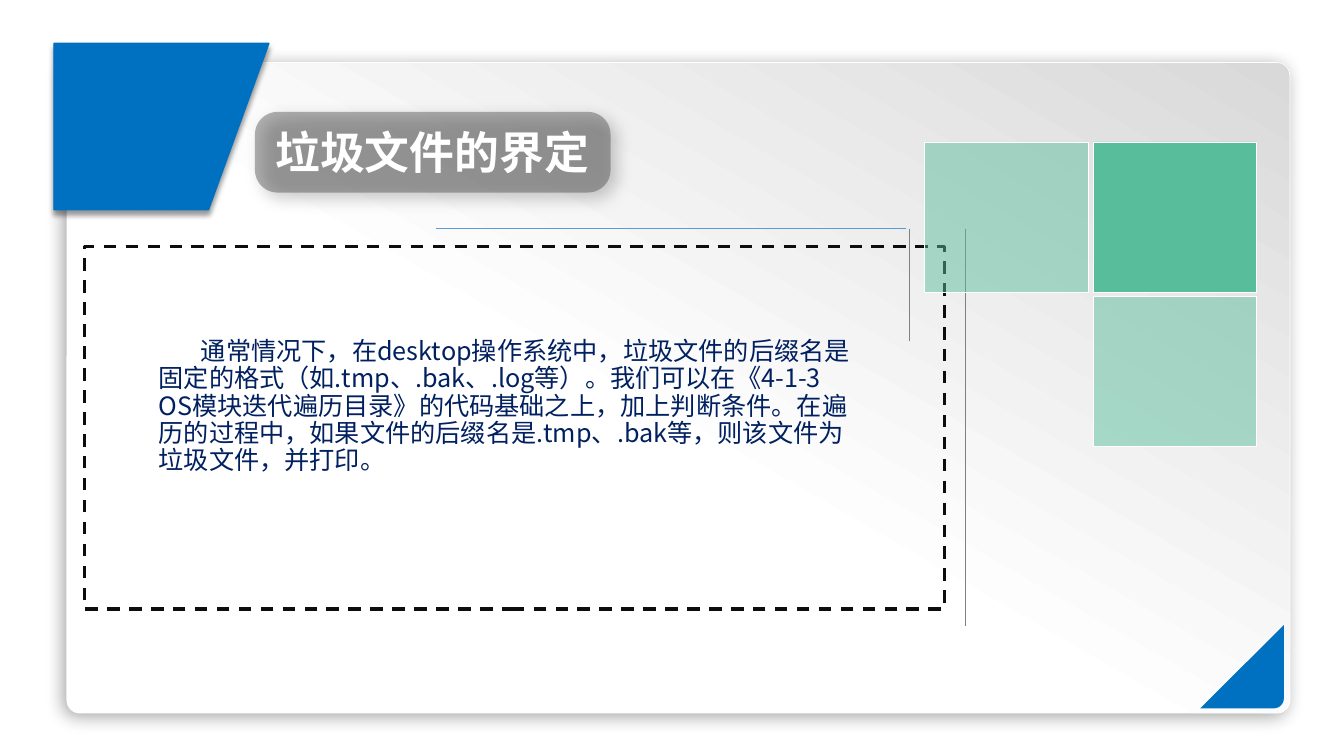
import math

import lxml.etree
import pptx
import pptx.dml.color
import pptx.enum.dml
import pptx.enum.shapes
import pptx.enum.text
import pptx.oxml.ns
import pptx.util

RGB = pptx.dml.color.RGBColor
SHAPE = pptx.enum.shapes.MSO_SHAPE
ANCHOR = pptx.enum.text.MSO_ANCHOR
Pt = pptx.util.Pt
qn = pptx.oxml.ns.qn

TITLE = "垃圾文件的界定"
BODY = (
    "通常情况下，在desktop操作系统中，垃圾文件的后缀名是固定的格式"
    "（如.tmp、.bak、.log等）。我们可以在《4-1-3  OS模块迭代遍历目录》"
    "的代码基础之上，加上判断条件。在遍历的过程中，如果文件的后缀名是"
    ".tmp、.bak等，则该文件为垃圾文件，并打印。"
)
FONT = "Noto Sans CJK SC"

WHITE = RGB(0xFF, 0xFF, 0xFF)
SILVER = RGB(0xD9, 0xD9, 0xD9)
GREY = RGB(0x80, 0x80, 0x80)
CHARCOAL = RGB(0x40, 0x40, 0x40)
INK = RGB(0x0D, 0x0D, 0x0D)
NAVY = RGB(0x00, 0x20, 0x60)
BLUE = RGB(0x00, 0x70, 0xC0)
SKY = RGB(0x5B, 0x9B, 0xD5)
GREEN = RGB(0x58, 0xBD, 0x9B)

# Places are percentages of the slide's width and height: left, top, width, height
PANEL = (4.98, 8.27, 91, 86.07)
FRAME = (6.3, 32.57, 63.96, 48)
PILL = (18.97, 14.8, 26.46, 10.67)
TITLE_BOX = (19.74, 15.75, 25.04, 8.53)
BODY_BOX = (9.18, 44.15, 55.3, 19.47)
TAB = [(20.01, 5.73), (4.02, 5.73), (4.02, 27.73), (15.52, 27.73)]
FOLD_LEFT, FOLD_TOP, FOLD_RIGHT, FOLD_BOTTOM = 89.3, 82.67, 95.53, 93.7
FOLD_RADIUS = (0.75, 1.33)
RULES = [  # from, to, colour
    ((71.81, 30.25), (71.81, 82.8), GREY),
    ((32.46, 30.25), (67.45, 30.25), SKY),
    ((67.65, 30.25), (67.65, 45.07), GREY),
]
TILE_ORIGIN, TILE_SIZE, TILE_STEP = (68.8, 18.75), (12.14, 19.87), (12.54, 20.45)
TILES = [(1, 1, 49), (0, 0, 49), (1, 0, 100)]  # column, row, opacity

prs = pptx.Presentation()
prs.slide_width = pptx.util.Inches(13.34)
prs.slide_height = pptx.util.Inches(7.5)
s = prs.slides.add_slide(prs.slide_layouts[1])


def place(values):
    """Turn alternating x and y percentages into slide lengths."""
    sides = (prs.slide_width, prs.slide_height)
    return [round(v / 100 * sides[i % 2]) for i, v in enumerate(values)]


def style(sp, fill=None, line=None, width=0.5, opacity=100):
    sp.shadow.inherit = False
    if fill is None:
        sp.fill.background()
    else:
        sp.fill.solid()
        sp.fill.fore_color.rgb = fill
        if opacity < 100:
            color = sp._element.spPr.find(qn("a:solidFill"))[0]
            lxml.etree.SubElement(color, qn("a:alpha"), val=str(opacity * 1000))
    if line is None:
        sp.line.fill.background()
    else:
        sp.line.color.rgb = line
        sp.line.width = Pt(width)
    return sp


def add_shadow(sp, opacity, blur, distance, angle):
    effects = sp._element.spPr.find(qn("a:effectLst"))
    shadow = lxml.etree.SubElement(
        effects, qn("a:outerShdw"), blurRad=str(Pt(blur)), dist=str(Pt(distance)),
        dir=str(angle * 60000), algn="ctr", rotWithShape="0")
    color = lxml.etree.SubElement(shadow, qn("a:srgbClr"), val="000000")
    lxml.etree.SubElement(color, qn("a:alpha"), val=str(opacity * 1000))


def add_box(kind, box):
    return s.shapes.add_shape(kind, *place(box))


def add_outline(points):
    start, *rest = [place(pt) for pt in points]
    builder = s.shapes.build_freeform(*start)
    builder.add_line_segments(rest)
    return builder.convert_to_shape()


def fill_placeholder(sp, text, box, size, color, bold, anchor, wrap):
    """Bring a placeholder to the front, then place it and set its one paragraph."""
    s.shapes._spTree.append(sp._element)
    sp.left, sp.top, sp.width, sp.height = place(box)
    tf = sp.text_frame
    tf.text = text
    tf.word_wrap = wrap
    tf.auto_size = pptx.enum.text.MSO_AUTO_SIZE.NONE
    tf.vertical_anchor = anchor
    p = tf.paragraphs[0]
    lxml.etree.SubElement(p._p.get_or_add_pPr(), qn("a:buNone"))
    p.alignment = pptx.enum.text.PP_ALIGN.LEFT
    p.space_before = Pt(0)
    p.font.size, p.font.bold, p.font.name = Pt(size), bold, FONT
    p.font.color.rgb = color
    latin = p._p.pPr.find(qn("a:defRPr")).find(qn("a:latin"))
    latin.addnext(latin.makeelement(qn("a:ea"), typeface=FONT))
    return p


panel = style(add_box(SHAPE.ROUNDED_RECTANGLE, PANEL), WHITE, WHITE)
panel.adjustments[0] = 0.02
panel.fill.gradient()
panel.fill.gradient_angle = 60
for stop, color, position in zip(panel.fill.gradient_stops, (WHITE, SILVER), (0.45, 1)):
    stop.color.rgb = color
    stop.position = position
add_shadow(panel, 34, 12, 3, 135)

rx, ry = FOLD_RADIUS
corner = [(FOLD_RIGHT - rx + rx * math.cos(math.radians(a)),
           FOLD_BOTTOM - ry + ry * math.sin(math.radians(a))) for a in range(0, 91, 15)]
style(add_outline([(FOLD_RIGHT, FOLD_TOP), *corner, (FOLD_LEFT, FOLD_BOTTOM)]), BLUE)

add_shadow(style(add_outline(TAB), BLUE, BLUE, 1), 40, 4, 3, 90)

for start, end, color in RULES:
    rule = s.shapes.add_connector(pptx.enum.shapes.MSO_CONNECTOR.STRAIGHT, *place(start + end))
    rule.line.color.rgb = color
    rule.line.width = Pt(0.5)
    lxml.etree.SubElement(rule._element.spPr, qn("a:effectLst"))

frame = style(add_box(SHAPE.RECTANGLE, FRAME), line=INK, width=2.25)
frame.line.dash_style = pptx.enum.dml.MSO_LINE.DASH

for col, row, opacity in TILES:
    origin = [o + n * step for o, n, step in zip(TILE_ORIGIN, (col, row), TILE_STEP)]
    style(add_box(SHAPE.RECTANGLE, (*origin, *TILE_SIZE)), GREEN, WHITE, 0.25, opacity)

body = fill_placeholder(s.placeholders[1], BODY, BODY_BOX, 18, NAVY, False, ANCHOR.TOP, True)
body.line_spacing = 0.9
body._p.pPr.set("marL", str(pptx.util.Inches(0.25)))
body._p.pPr.set("indent", str(pptx.util.Inches(0.42)))

pill = style(add_box(SHAPE.ROUNDED_RECTANGLE, PILL), CHARCOAL, opacity=40)
pill.adjustments[0] = 0.28
add_shadow(pill, 50, 12, 6, 45)

fill_placeholder(s.shapes.title, TITLE, TITLE_BOX, 32, WHITE, True, ANCHOR.MIDDLE, False)

prs.save("out.pptx")
